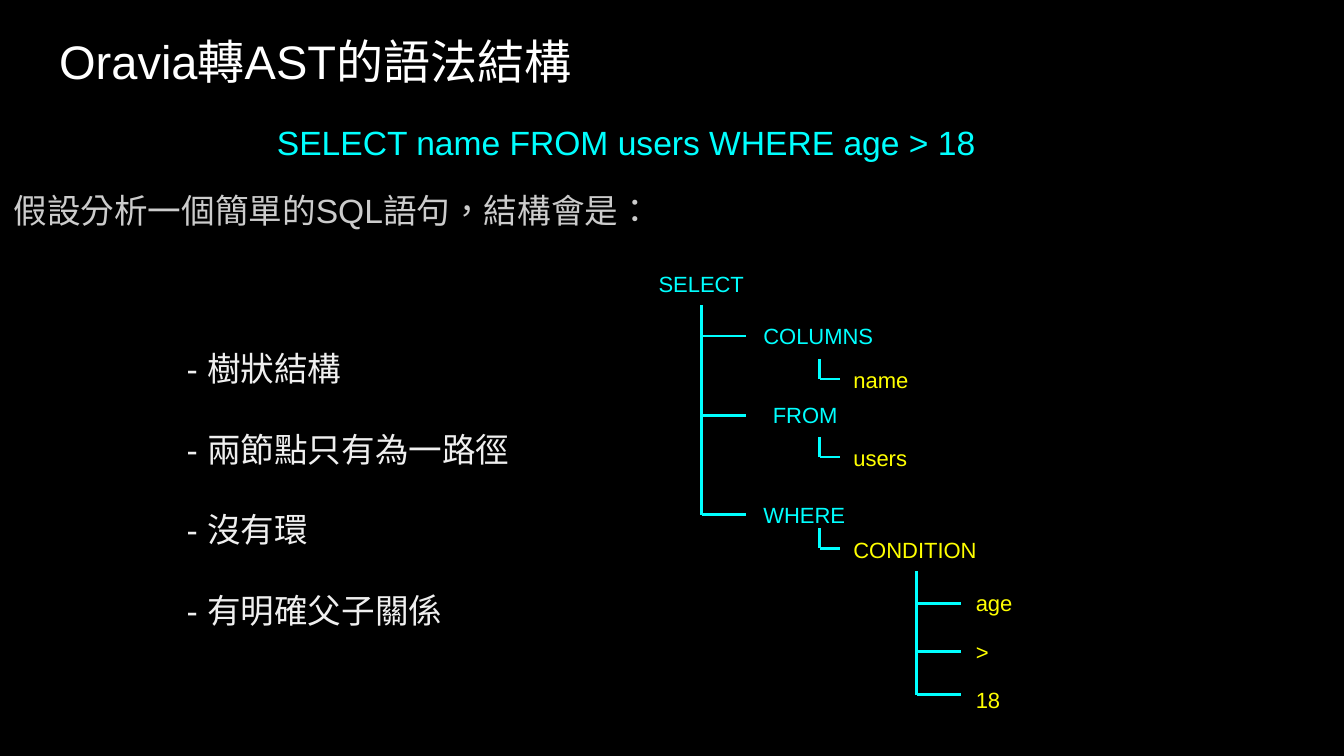
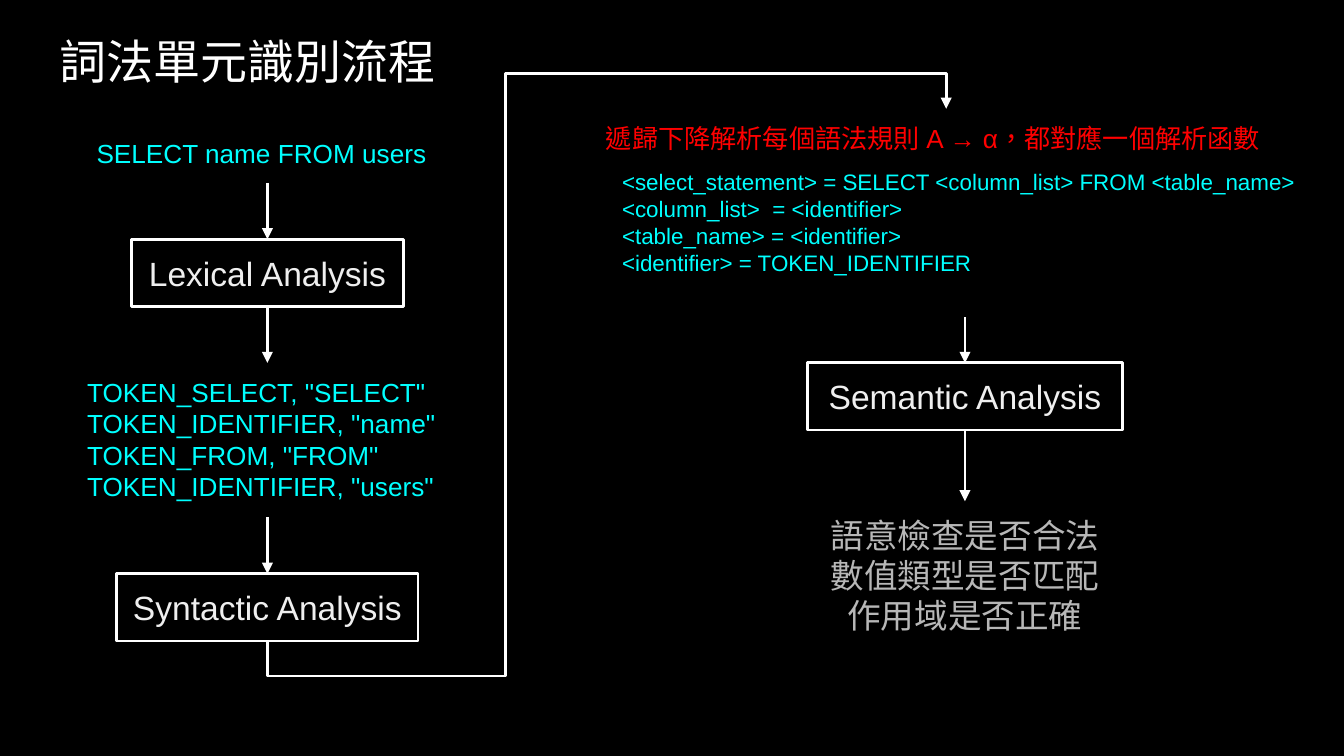
from dataclasses import dataclass

from lxml import etree
from pptx import Presentation
from pptx.dml.color import RGBColor
from pptx.enum.lang import MSO_LANGUAGE_ID
from pptx.enum.shapes import MSO_CONNECTOR, MSO_SHAPE
from pptx.enum.text import MSO_ANCHOR, MSO_AUTO_SIZE, PP_ALIGN
from pptx.oxml.ns import qn
from pptx.util import Inches, Pt

LANGUAGE = MSO_LANGUAGE_ID.TRADITIONAL_CHINESE
STRAIGHT, ELBOW = MSO_CONNECTOR.STRAIGHT, MSO_CONNECTOR.ELBOW
RECTANGLE = MSO_SHAPE.RECTANGLE
TOP, MIDDLE = MSO_ANCHOR.TOP, MSO_ANCHOR.MIDDLE
LEFT, CENTER = PP_ALIGN.LEFT, PP_ALIGN.CENTER
FIXED_SIZE = MSO_AUTO_SIZE.NONE


@dataclass(frozen=True)
class Theme:
    font: str = "Arial"
    black: str = "000000"
    white: str = "FFFFFF"
    pale: str = "EFEFEF"
    silver: str = "CCCCCC"
    gray: str = "B7B7B7"
    cyan: str = "00FFFF"
    yellow: str = "FFFF00"
    red: str = "FF0000"
    title: float = 25.2
    body: float = 18
    code: float = 14
    grammar: float = 12
    node: float = 11.8
    line: float = 1.5
    inset: float = 0.1
    node_inset: float = 0.07


THEME = Theme()
PAGE_WIDTH = Inches(10)
PAGE_HEIGHT = PAGE_WIDTH * 9 // 16
TITLE_AREA = (0.34, 0.14, 9.32, 0.63)

TREE_TITLE = "Oravia轉AST的語法結構"
INTRO_AREA = (0, 0.76, 9.32, 3.74)
INTRO = [
    ("SELECT name FROM users WHERE age > 18", THEME.cyan, CENTER, 0),
    ("假設分析一個簡單的SQL語句，結構會是：", THEME.silver, LEFT, 12),
]
TRAITS_AREA = (1.29, 2.49, 2.96, 2.32)
TRAITS = ["- 樹狀結構", "- 兩節點只有為一路徑", "- 沒有環", "- 有明確父子關係"]
TRAIT_GAP = 21.6

NODE_HEIGHT = 0.33
CLAUSES = [
    ("SELECT", 4.83, 1.94, 0.78),
    ("COLUMNS", 5.61, 2.33, 0.98),
    ("FROM", 5.68, 2.92, 0.98),
    ("WHERE", 5.61, 3.66, 0.98),
]
ONLY_CHILDREN = [
    ("name", 6.28, 2.66, 0.57),
    ("users", 6.28, 3.24, 0.57),
    ("CONDITION", 6.28, 3.92, 1.08),
]
OPERANDS = [
    (text, 7.19, 4.32 + 0.36 * row, 0.42)
    for row, text in enumerate(["age", ">", "18"])
]
TRUNKS = [
    (5.22, 2.27, [2.5, 3.09, 3.83]),
    (6.82, 4.25, [4.49, 4.85, 5.17]),
]
BRANCH = 0.33
HOOK_LEFT, HOOK_RIGHT, HOOK_DROP = 6.1, 6.25, 0.16

FLOW_TITLE = "詞法單元識別流程"
STAGES = [
    ("Lexical Analysis", (0.98, 1.78, 2.02, 0.5)),
    ("Syntactic Analysis", (0.87, 4.27, 2.24, 0.5)),
    ("Semantic Analysis", (6.01, 2.7, 2.34, 0.5)),
]
FLOW_TEXTS = [
    (["SELECT name FROM users"],
     (0.62, 0.92, 2.74, 0.44), THEME.code, THEME.cyan, LEFT),
    (['TOKEN_SELECT, "SELECT"', 'TOKEN_IDENTIFIER, "name"',
      'TOKEN_FROM, "FROM"', 'TOKEN_IDENTIFIER, "users"'],
     (0.55, 2.7, 2.87, 1.14), THEME.code, THEME.cyan, LEFT),
    (["遞歸下降解析每個語法規則 A → α，都對應一個解析函數"],
     (4.41, 0.81, 5.25, 0.44), THEME.code, THEME.red, LEFT),
    (["<select_statement> = SELECT <column_list> FROM <table_name>",
      "<column_list>  = <identifier>",
      "<table_name> = <identifier>",
      "<identifier> = TOKEN_IDENTIFIER"],
     (4.53, 1.15, 5.29, 1.21), THEME.grammar, THEME.cyan, LEFT),
    (["語意檢查是否合法", "數值類型是否匹配", "作用域是否正確"],
     (5.85, 3.73, 2.66, 1.11), THEME.body, THEME.gray, CENTER),
]
FLOW_ARROWS = [
    (1.99, 1.36, 1.78),
    (1.99, 2.28, 2.7),
    (1.99, 3.85, 4.27),
    (7.18, 2.36, 2.7),
    (7.18, 3.21, 3.73),
]
RETURN_START, RETURN_END = (7.04, 0.81), (1.99, 4.77)
RETURN_BENDS = [-6600, 64900, 106600]


def color(value):
    return RGBColor.from_string(value)


def inches(values):
    return [Inches(value) for value in values]


def place(shape, area):
    shape.left, shape.top, shape.width, shape.height = inches(area)


def write(shape, lines, size, ink, align=LEFT, inset=THEME.inset,
          anchor=TOP, gap=0):
    frame = shape.text_frame
    frame.text = "\n".join(lines)
    frame.word_wrap = True
    frame.auto_size = FIXED_SIZE
    frame.vertical_anchor = anchor
    frame.margin_left = frame.margin_right = Inches(inset)
    frame.margin_top = frame.margin_bottom = Inches(inset)
    for index, para in enumerate(frame.paragraphs):
        para.alignment = align
        para.space_before = Pt(gap if index else 0)
        for span in para.runs:
            span.font.name = THEME.font
            span.font.size = Pt(size)
            span.font.color.rgb = color(ink)
            span.font.language_id = LANGUAGE


def add_text(shapes, lines, area, size, ink, **style):
    box = shapes.add_textbox(*inches(area))
    write(box, lines, size, ink, **style)


def add_line(shapes, start, end, ink, kind=STRAIGHT, arrow=None):
    line = shapes.add_connector(kind, *inches(start + end))
    line.line.color.rgb = color(ink)
    line.line.width = Pt(THEME.line)
    properties = line._element.spPr
    if arrow:
        etree.SubElement(properties.find(qn("a:ln")), qn(arrow), type="triangle")
    etree.SubElement(properties, qn("a:effectLst"))
    return line


def add_page(deck, layout, title):
    page = deck.slides.add_slide(deck.slide_layouts.get_by_name(layout))
    place(page.shapes.title, TITLE_AREA)
    write(page.shapes.title, [title], THEME.title, THEME.white)
    return page


def add_intro(body):
    place(body, INTRO_AREA)
    write(body, [text for text, *_ in INTRO], THEME.body, THEME.silver)
    for para, (_, ink, align, gap) in zip(body.text_frame.paragraphs, INTRO):
        para.alignment = align
        para.line_spacing = 1.15
        para.space_before = Pt(gap)
        para.runs[0].font.color.rgb = color(ink)
        properties = para._p.get_or_add_pPr()
        properties.set("marL", "0")
        properties.set("indent", "0")
        etree.SubElement(properties, qn("a:buNone"))


def add_tree(shapes):
    for x, top, branches in TRUNKS:
        add_line(shapes, (x, top), (x, branches[-1]), THEME.cyan)
        for y in branches:
            add_line(shapes, (x, y), (x + BRANCH, y), THEME.cyan)
    for _, _, top, _ in ONLY_CHILDREN:
        corner = (HOOK_LEFT, top + HOOK_DROP)
        add_line(shapes, (HOOK_LEFT, top + 0.01), corner, THEME.cyan)
        add_line(shapes, corner, (HOOK_RIGHT, corner[1]), THEME.cyan)
    for nodes, ink in ((CLAUSES, THEME.cyan),
                       (ONLY_CHILDREN + OPERANDS, THEME.yellow)):
        for text, left, top, width in nodes:
            add_text(shapes, [text], (left, top, width, NODE_HEIGHT),
                     THEME.node, ink, inset=THEME.node_inset)


def add_stage(shapes, text, area):
    box = shapes.add_shape(RECTANGLE, *inches(area))
    box.shadow.inherit = False
    box.fill.background()
    box.line.color.rgb = color(THEME.white)
    box.line.width = Pt(THEME.line)
    write(box, [text], THEME.body, THEME.pale, align=CENTER, anchor=MIDDLE)


def add_return_arrow(shapes):
    (start_x, start_y), (end_x, end_y) = RETURN_START, RETURN_END
    middle_x, middle_y = (start_x + end_x) / 2, (start_y + end_y) / 2
    half_width, half_height = (end_y - start_y) / 2, (start_x - end_x) / 2
    arrow = add_line(shapes,
                     (middle_x - half_width, middle_y - half_height),
                     (middle_x + half_width, middle_y + half_height),
                     THEME.white, kind=ELBOW, arrow="a:headEnd")
    properties = arrow._element.spPr
    properties.find(qn("a:xfrm")).set("rot", "5400000")
    geometry = properties.find(qn("a:prstGeom"))
    geometry.set("prst", "bentConnector5")
    guides = geometry.find(qn("a:avLst"))
    for number, bend in enumerate(RETURN_BENDS, 1):
        etree.SubElement(guides, qn("a:gd"), name=f"adj{number}", fmla=f"val {bend}")


def build_tree_page(deck):
    page = add_page(deck, "Title and Content", TREE_TITLE)
    add_intro(page.placeholders[1])
    add_tree(page.shapes.add_group_shape().shapes)
    add_text(page.shapes, TRAITS, TRAITS_AREA, THEME.body, THEME.pale,
             gap=TRAIT_GAP)


def build_flow_page(deck):
    shapes = add_page(deck, "Title Only", FLOW_TITLE).shapes
    for text, area in STAGES:
        add_stage(shapes, text, area)
    for lines, area, size, ink, align in FLOW_TEXTS:
        add_text(shapes, lines, area, size, ink, align=align)
    for x, top, bottom in FLOW_ARROWS:
        add_line(shapes, (x, top), (x, bottom), THEME.white, arrow="a:tailEnd")
    add_return_arrow(shapes)


def main():
    deck = Presentation()
    deck.slide_width, deck.slide_height = PAGE_WIDTH, PAGE_HEIGHT
    background = deck.slide_master.background.fill
    background.solid()
    background.fore_color.rgb = color(THEME.black)
    build_tree_page(deck)
    build_flow_page(deck)
    deck.save("out.pptx")


if __name__ == "__main__":
    main()
